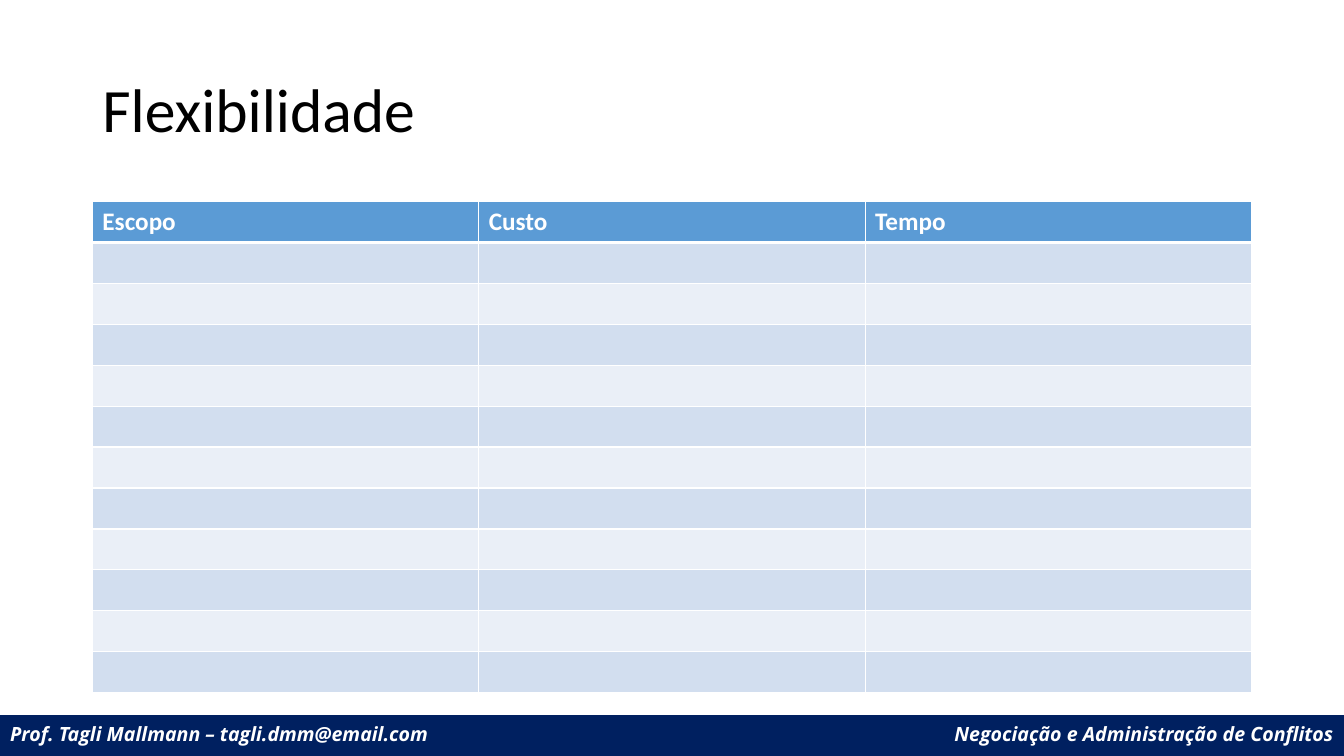
from dataclasses import dataclass

from lxml import etree
from pptx import Presentation
from pptx import util as u
from pptx.dml.color import RGBColor
from pptx.enum import text
from pptx.oxml import ns

PX = 9525  # EMU per px, 96 px to the inch
COLOURS = {
    "white": "FFFFFF",
    "black": "000000",
    "navy": "002060",
    "header": "5B9BD5",
    "dark band": "D2DEEF",
    "light band": "EAEFF7",
}
EMPTY_ROWS = 11
LEFT, CENTRE, RIGHT = text.PP_ALIGN.LEFT, text.PP_ALIGN.CENTER, text.PP_ALIGN.RIGHT


@dataclass
class Cell:
    fill: str
    words: str = ""
    size: int = 18
    font: str = "Calibri"
    italic: bool = False
    align: text.PP_ALIGN = LEFT
    top: int = 0
    bottom: int = 0
    sides: int = 0


@dataclass
class Grid:
    left: int
    top: int
    columns: list[int]
    row_height: int
    rows: list[list[Cell]]


def px(length: int) -> u.Emu:
    return u.Emu(length * PX)


def rgb(name: str) -> RGBColor:
    return RGBColor.from_string(COLOURS[name])


def write(frame, words: str, *, size: int, font: str = "Calibri", colour: str = "white",
          bold: bool = False, italic: bool = False, align: text.PP_ALIGN = LEFT,
          spacing: float = 1.0) -> None:
    para = frame.paragraphs[0]
    para.alignment = align
    para.line_spacing = spacing
    span = para.add_run()
    span.text = words
    span.font.size = u.Pt(size)
    span.font.name = font
    span.font.bold = bold
    span.font.italic = italic
    span.font.color.rgb = rgb(colour)


def add_border(cell, side: str, points: int) -> None:
    """Draw a white line on one side of a cell, or none at zero points."""
    properties = cell._tc.get_or_add_tcPr()
    line = etree.SubElement(properties, ns.qn(f"a:ln{side}"), w=str(u.Pt(points)))
    if points:
        fill = etree.SubElement(line, ns.qn("a:solidFill"))
        etree.SubElement(fill, ns.qn("a:srgbClr"), val=COLOURS["white"])
    else:
        etree.SubElement(line, ns.qn("a:noFill"))


def add_grid(page, grid: Grid) -> None:
    frame = page.shapes.add_table(
        len(grid.rows), len(grid.columns), px(grid.left), px(grid.top),
        px(sum(grid.columns)), px(grid.row_height * len(grid.rows)))
    table = frame.table
    table.first_row = table.horz_banding = False
    for column, width in zip(table.columns, grid.columns):
        column.width = px(width)
    for row, entries in zip(table.rows, grid.rows):
        row.height = px(grid.row_height)
        for cell, entry in zip(row.cells, entries):
            borders = {"L": entry.sides, "R": entry.sides, "T": entry.top, "B": entry.bottom}
            for side, points in borders.items():
                add_border(cell, side, points)
            cell.fill.solid()
            cell.fill.fore_color.rgb = rgb(entry.fill)
            if entry.words:
                write(cell.text_frame, entry.words, size=entry.size, font=entry.font,
                      bold=True, italic=entry.italic, align=entry.align)


def add_title(page, words: str) -> None:
    title = page.shapes.title
    title.left, title.top, title.width, title.height = map(px, (88, 38, 1104, 139))
    frame = title.text_frame
    frame.word_wrap = True
    frame.auto_size = text.MSO_AUTO_SIZE.NONE
    frame.vertical_anchor = text.MSO_ANCHOR.MIDDLE
    write(frame, words, size=44, colour="black", spacing=0.9)


def footer_grid() -> Grid:
    entries = [("Prof. Tagli Mallmann – tagli.dmm@email.com", LEFT),
               ("Negociação e Administração de Conflitos", RIGHT)]
    cells = [Cell("navy", words, size=14, font="Open Sans", italic=True, align=align)
             for words, align in entries]
    return Grid(0, 681, [680, 600], 39, [cells])


def flexibility_grid() -> Grid:
    headings = ["Escopo", "Custo", "Tempo"]
    rows = [[Cell("header", words, top=1, bottom=3, sides=1) for words in headings]]
    for index in range(EMPTY_ROWS):
        band = "light band" if index % 2 else "dark band"
        top = 1 if index else 3
        rows.append([Cell(band, top=top, bottom=1, sides=1) for _ in headings])
    return Grid(88, 192, [368] * len(headings), 39, rows)


def main() -> None:
    deck = Presentation()
    deck.slide_width, deck.slide_height = px(1280), px(720)
    page = deck.slides.add_slide(deck.slide_layouts.get_by_name("Title Only"))
    add_grid(page, footer_grid())
    add_title(page, "Flexibilidade")
    add_grid(page, flexibility_grid())
    deck.save("out.pptx")


if __name__ == "__main__":
    main()
